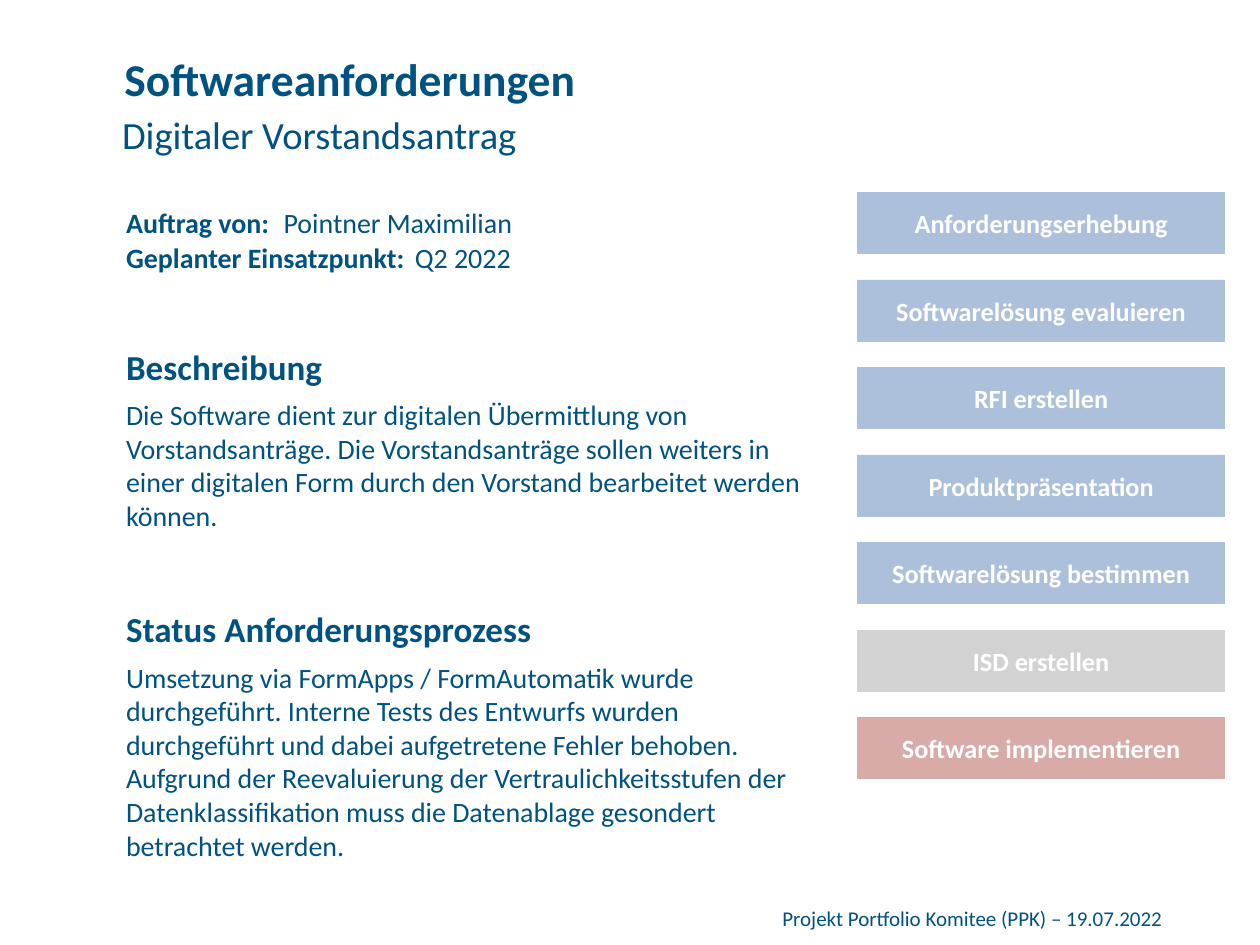
from pptx import Presentation
from pptx import util as u
from pptx.dml import color
from pptx.enum import shapes, text

COLUMNS, ROWS = 144, 108
CELL = u.Pt(5)
FONT = "Calibri"
NAVY, WHITE = "005281", "FFFFFF"
DONE, SKIPPED, CURRENT = "ACC0DB", "D2D2D2", "D9ABA8"

TEXTS = [
    (13, 20, 49, 12, "Auftrag von:", 16, True),
    (31, 20, 49, 12, "Pointner Maximilian", 16, False),
    (13, 24, 49, 12, "Geplanter Einsatzpunkt:", 16, True),
    (46, 24, 49, 12, "Q2 2022", 16, False),
    (88, 100, 54, 8, "Projekt Portfolio Komitee (PPK) – 19.07.2022", 12, False),
]
SECTIONS = [
    (36, 26, "Beschreibung",
     "Die Software dient zur digitalen Übermittlung von Vorstandsanträge. "
     "Die Vorstandsanträge sollen weiters in einer digitalen Form durch den "
     "Vorstand bearbeitet werden können."),
    (66, 50, "Status Anforderungsprozess",
     "Umsetzung via FormApps / FormAutomatik wurde durchgeführt. Interne Tests "
     "des Entwurfs wurden durchgeführt und dabei aufgetretene Fehler behoben.\n"
     "Aufgrund der Reevaluierung der Vertraulichkeitsstufen der "
     "Datenklassifikation muss die Datenablage gesondert betrachtet werden."),
]
STEPS = [
    ("Anforderungserhebung", DONE),
    ("Softwarelösung evaluieren", DONE),
    ("RFI erstellen", DONE),
    ("Produktpräsentation", DONE),
    ("Softwarelösung bestimmen", DONE),
    ("ISD erstellen", SKIPPED),
    ("Software implementieren", CURRENT),
]


def rgb(value):
    """Turn a hex string into a colour."""
    return color.RGBColor.from_string(value)


def grid(*cells):
    """Turn counts of grid cells into lengths."""
    return [CELL * cell for cell in cells]


def write(shape, content, size, bold, hex_color=NAVY, align=text.PP_ALIGN.LEFT):
    """Fill a shape with one formatted paragraph."""
    frame = shape.text_frame
    frame.word_wrap = True
    frame.auto_size = text.MSO_AUTO_SIZE.NONE
    paragraph = frame.paragraphs[0]
    paragraph.text = content
    paragraph.alignment = align
    font = paragraph.font
    font.name, font.size, font.bold = FONT, u.Pt(size), bold
    font.color.rgb = rgb(hex_color)


def fill_placeholder(shape, cells, content, size, bold, anchor):
    """Move a placeholder and write its centred text."""
    shape.left, shape.top, shape.width, shape.height = grid(*cells)
    write(shape, content, size, bold, align=text.PP_ALIGN.CENTER)
    shape.text_frame.vertical_anchor = anchor


def add_text(slide, left, top, width, height, content, size, bold):
    """Add a text box whose text starts below a deep top inset."""
    shape = slide.shapes.add_textbox(*grid(left, top, width, height))
    write(shape, content, size, bold)
    shape.text_frame.margin_top = u.Inches(0.24)


def add_section(slide, top, heading_width, heading, body):
    """Add a heading with its body text."""
    add_text(slide, 13, top, heading_width, 12, heading, 20, True)
    add_text(slide, 13, top + 6, 82, 20, body, 16, False)


def add_step(slide, index, label, hex_color):
    """Add one bar of the process column."""
    shape = slide.shapes.add_shape(
        shapes.MSO_SHAPE.RECTANGLE, *grid(98, 22 + 10 * index, 42, 7))
    shape.shadow.inherit = False
    shape.fill.solid()
    shape.fill.fore_color.rgb = rgb(hex_color)
    shape.line.color.rgb = rgb(hex_color)
    shape.line.width = u.Pt(0.5)
    write(shape, label, 15, True, WHITE, text.PP_ALIGN.CENTER)
    shape.text_frame.vertical_anchor = text.MSO_ANCHOR.MIDDLE


def main():
    """Build and save the slide."""
    presentation = Presentation()
    presentation.slide_width, presentation.slide_height = grid(COLUMNS, ROWS)
    slide = presentation.slides.add_slide(presentation.slide_layouts[0])
    fill_placeholder(slide.shapes.title, (2, 4, 76, 10),
                     "Softwareanforderungen", 26, True, text.MSO_ANCHOR.MIDDLE)
    fill_placeholder(slide.placeholders[1], (12, 12, 49, 10),
                     "Digitaler Vorstandsantrag", 22, False, text.MSO_ANCHOR.TOP)
    for item in TEXTS:
        add_text(slide, *item)
    for section in SECTIONS:
        add_section(slide, *section)
    for index, step in enumerate(STEPS):
        add_step(slide, index, *step)
    presentation.save("out.pptx")


if __name__ == "__main__":
    main()
